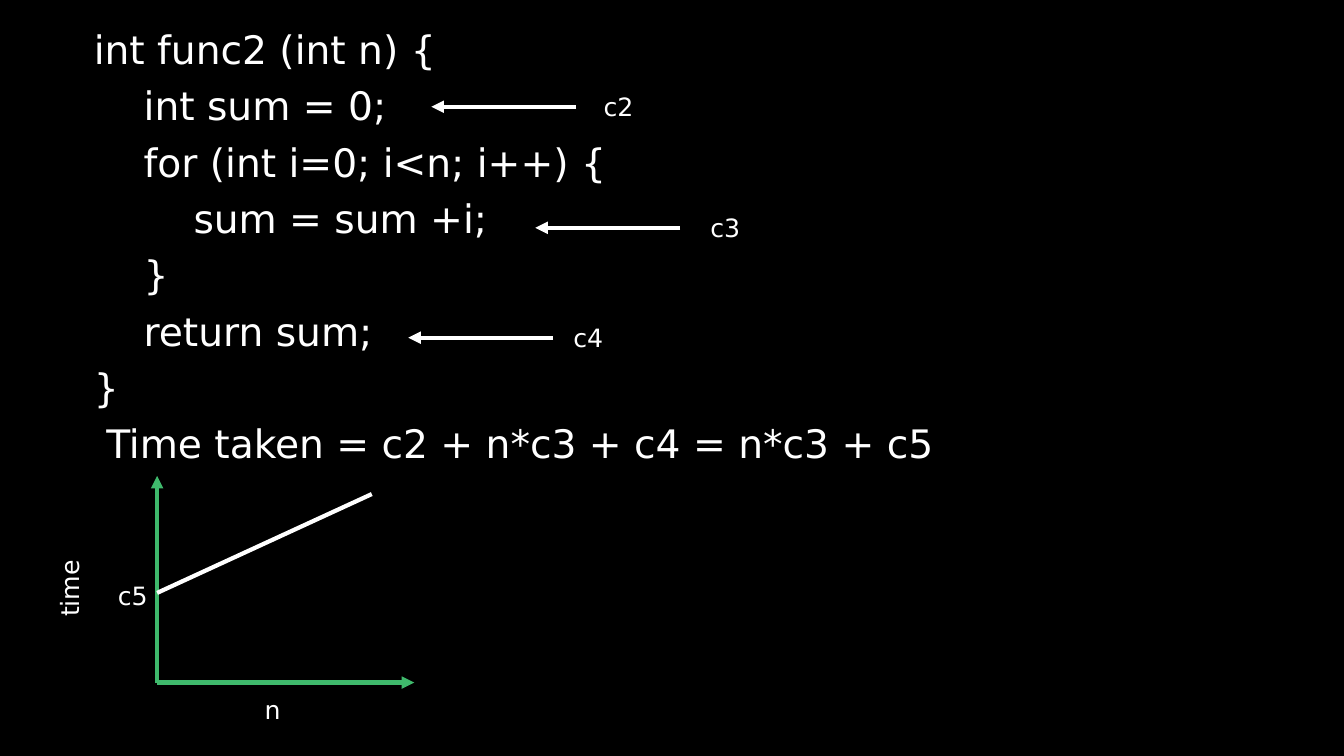
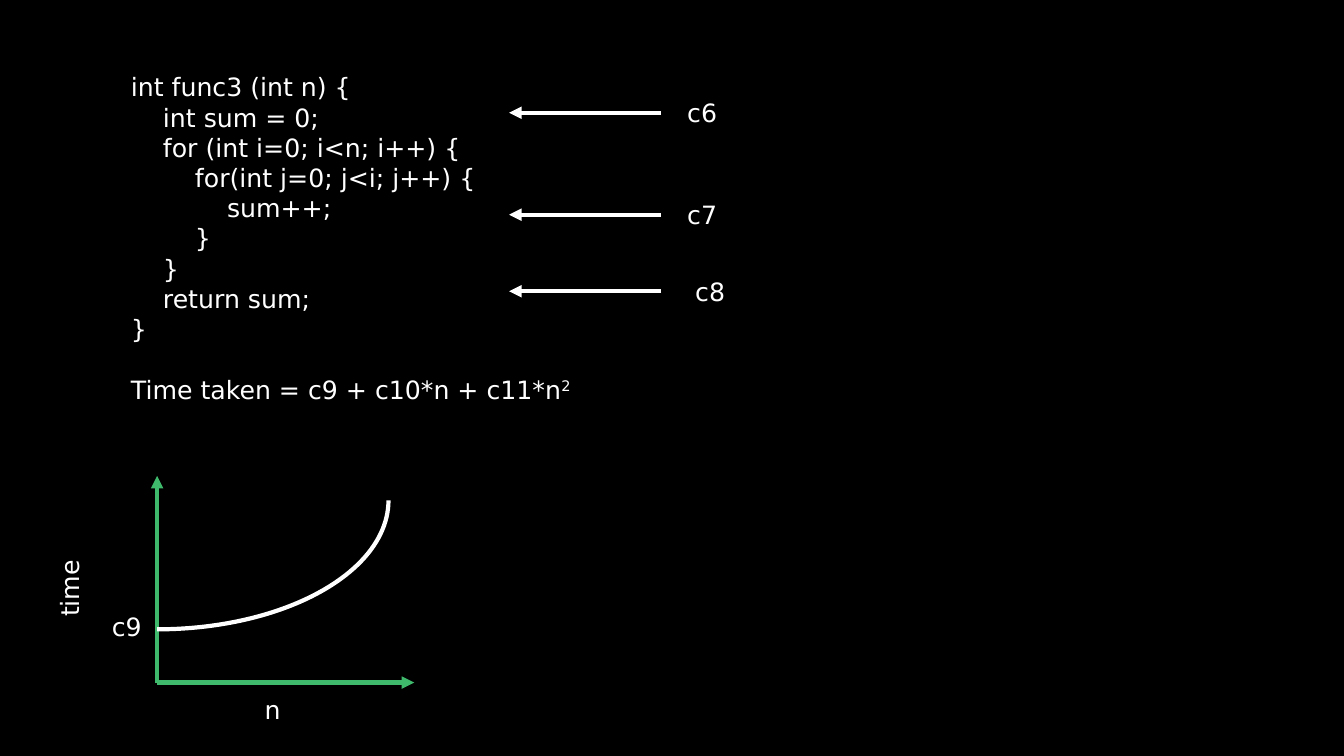
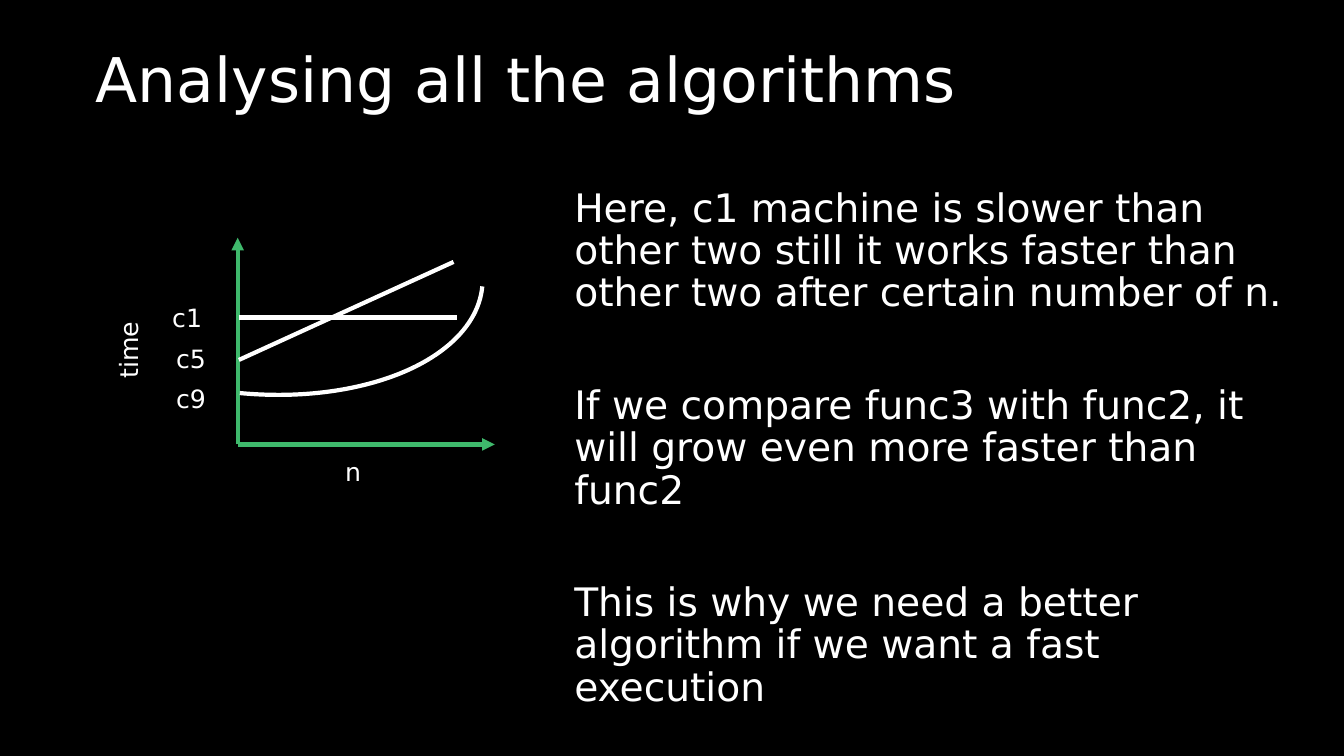
import pptx
import pptx.dml.color
import pptx.enum.shapes
import pptx.enum.text
import pptx.oxml.ns
import lxml.etree
from pptx.util import Cm

FONT = "DejaVu Sans"
WHITE, GREEN, BLACK = "FFFFFF", "3FB96C", "000000"
LINE_WIDTH = pptx.util.Pt(3)
SPACE_EM = 0.318
LABEL_W, LABEL_H = 1.27, 1.02
rgb = pptx.dml.color.RGBColor.from_string
qn = pptx.oxml.ns.qn


def write(sp, text, size=18, color=WHITE, wrap=True, spacing=None, before=None):
    tf = sp.text_frame
    tf.word_wrap = wrap
    tf.auto_size = pptx.enum.text.MSO_AUTO_SIZE.NONE
    tf.vertical_anchor = pptx.enum.text.MSO_ANCHOR.TOP
    for i, row in enumerate(text.split("\n")):
        p = tf.add_paragraph() if i else tf.paragraphs[0]
        p.alignment = pptx.enum.text.PP_ALIGN.LEFT
        p.line_spacing = spacing
        if before is not None:
            p.space_before = pptx.util.Pt(before)
        code = row.lstrip()
        indent = (len(row) - len(code)) * SPACE_EM * size
        pPr = p._p.get_or_add_pPr()
        pPr.set("marL", str(int(pptx.util.Pt(indent))))
        pPr.set("indent", "0")
        lxml.etree.SubElement(pPr, qn("a:buNone"))
        r = p.add_run()
        r.text = code
        r.font.size = pptx.util.Pt(size)
        r.font.name = FONT
        r.font.color.rgb = rgb(color)
    return tf


def draw_line(s, x1, y1, x2, y2, color=WHITE, arrow=False):
    c = s.shapes.add_connector(pptx.enum.shapes.MSO_CONNECTOR.STRAIGHT, Cm(x1), Cm(y1), Cm(x2), Cm(y2))
    c.line.color.rgb = rgb(color)
    c.line.width = LINE_WIDTH
    spPr = c._element.spPr
    if arrow:
        lxml.etree.SubElement(spPr.find(qn("a:ln")), qn("a:tailEnd")).set("type", "triangle")
    lxml.etree.SubElement(spPr, qn("a:effectLst"))


prs = pptx.Presentation()
prs.slide_width, prs.slide_height = Cm(33.87), Cm(19.05)
bg = prs.slide_master.background.fill
bg.solid()
bg.fore_color.rgb = rgb(BLACK)
content, blank = prs.slide_layouts[1], prs.slide_layouts[6]
linear, quadratic, summary = [prs.slides.add_slide(layout) for layout in (content, blank, content)]

title = linear.shapes.title
title.element.getparent().remove(title.element)
body = linear.placeholders[1]
body.left, body.top, body.width, body.height = Cm(2.11), Cm(0.64), Cm(29.64), Cm(17.37)
write(body, """int func2 (int n) {
    int sum = 0;
    for (int i=0; i<n; i++) {
        sum = sum +i;
    }
    return sum;
}
 Time taken = c2 + n*c3 + c4 = n*c3 + c5""", size=28, spacing=0.9, before=10)

sp = quadratic.shapes.add_textbox(Cm(3.05), Cm(1.68), Cm(16.94), Cm(8.71))
tf = write(sp, """int func3 (int n) {
    int sum = 0;
    for (int i=0; i<n; i++) {
        for(int j=0; j<i; j++) {
            sum++;
        }
    }
    return sum;
}
Time taken = c9 + c10*n + c11*n""")
p = tf.paragraphs[-1]
p.space_before = pptx.util.Pt(21.5)
r = p.add_run()
r.text = "2"
r.font.size = pptx.util.Pt(18)
r.font.name = FONT
r.font.color.rgb = rgb(WHITE)
r._r.get_or_add_rPr().set("baseline", "30000")

title = summary.shapes.title
title.left, title.top, title.width, title.height = Cm(2.16), Cm(1.12), Cm(25.4), Cm(3.51)
write(title, "Analysing all the algorithms", size=44, spacing=0.9)
body = summary.placeholders[1]
body.left, body.top, body.width, body.height = Cm(14.22), Cm(4.62), Cm(18.72), Cm(14.07)
tf = write(body, """Here, c1 machine is slower than other two still it works faster than other two after certain number of n.
If we compare func3 with func2, it will grow even more faster than func2
This is why we need a better algorithm if we want a fast execution""", size=28, spacing=0.9, before=10)
for p in tf.paragraphs[1:]:
    p.space_before = pptx.util.Pt(50)

labels = [
    (linear, "c5", 2.72, 14.5),
    (quadratic, "c9", 2.57, 15.27),
    (summary, "c9", 4.19, 9.53),
    (summary, "c5", 4.19, 8.53),
    (summary, "c1", 4.09, 7.49),
]

for s, text, x, y, length, label_x in [
    (linear, "c2", 10.87, 2.69, 3.65, 14.96),
    (linear, "c3", 13.49, 5.74, 3.65, 17.65),
    (linear, "c4", 10.29, 8.51, 3.65, 14.2),
    (quadratic, "c6", 12.83, 2.84, 3.83, 17.07),
    (quadratic, "c7", 12.83, 5.41, 3.83, 17.07),
    (quadratic, "c8", 12.83, 7.34, 3.83, 17.27),
]:
    draw_line(s, x + length, y, x, y, arrow=True)
    labels.append((s, text, label_x, y - LABEL_H / 2))

for s, text, x, y in labels:
    sp = s.shapes.add_textbox(Cm(x), Cm(y), Cm(LABEL_W), Cm(LABEL_H))
    write(sp, text, wrap=False)

for s, x, y, time_x in [(linear, 3.96, 17.2, 0.08), (quadratic, 3.96, 17.2, 0.08), (summary, 5.99, 11.2, 1.57)]:
    draw_line(s, x, y, x, y - 5.21, color=GREEN, arrow=True)
    draw_line(s, x, y, x + 6.48, y, color=GREEN, arrow=True)
    write(s.shapes.add_textbox(Cm(x + 2.46), Cm(y + 0.18), Cm(4.5), Cm(LABEL_H)), "n")
    sp = s.shapes.add_textbox(Cm(time_x), Cm(y - 3.58), Cm(3.33), Cm(LABEL_H))
    sp.rotation = 270
    write(sp, "time")

draw_line(linear, 3.96, 14.94, 9.37, 12.45)
draw_line(summary, 6.02, 9.07, 11.43, 6.6)
draw_line(summary, 6.02, 8, 11.51, 8)

for s, x, y, angle in [(quadratic, 0.71, 6.78, 90), (summary, 3.1, 0.84, 95.4)]:
    arc = s.shapes.add_shape(pptx.enum.shapes.MSO_SHAPE.ARC, Cm(x), Cm(y), Cm(6.5), Cm(11.66))
    arc.rotation = angle
    arc.shadow.inherit = False
    arc.fill.background()
    arc.line.color.rgb = rgb(WHITE)
    arc.line.width = LINE_WIDTH

prs.save("out.pptx")
